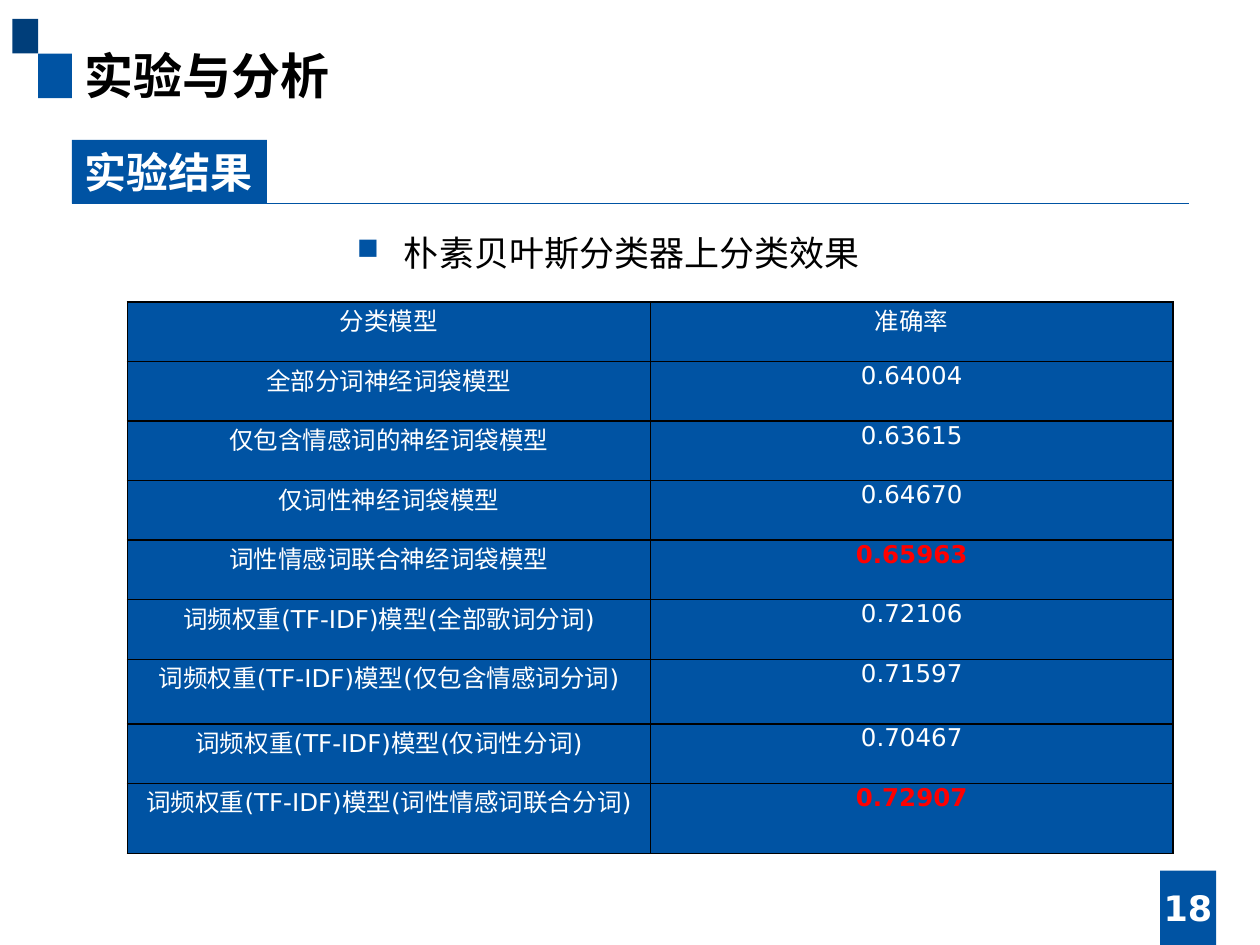
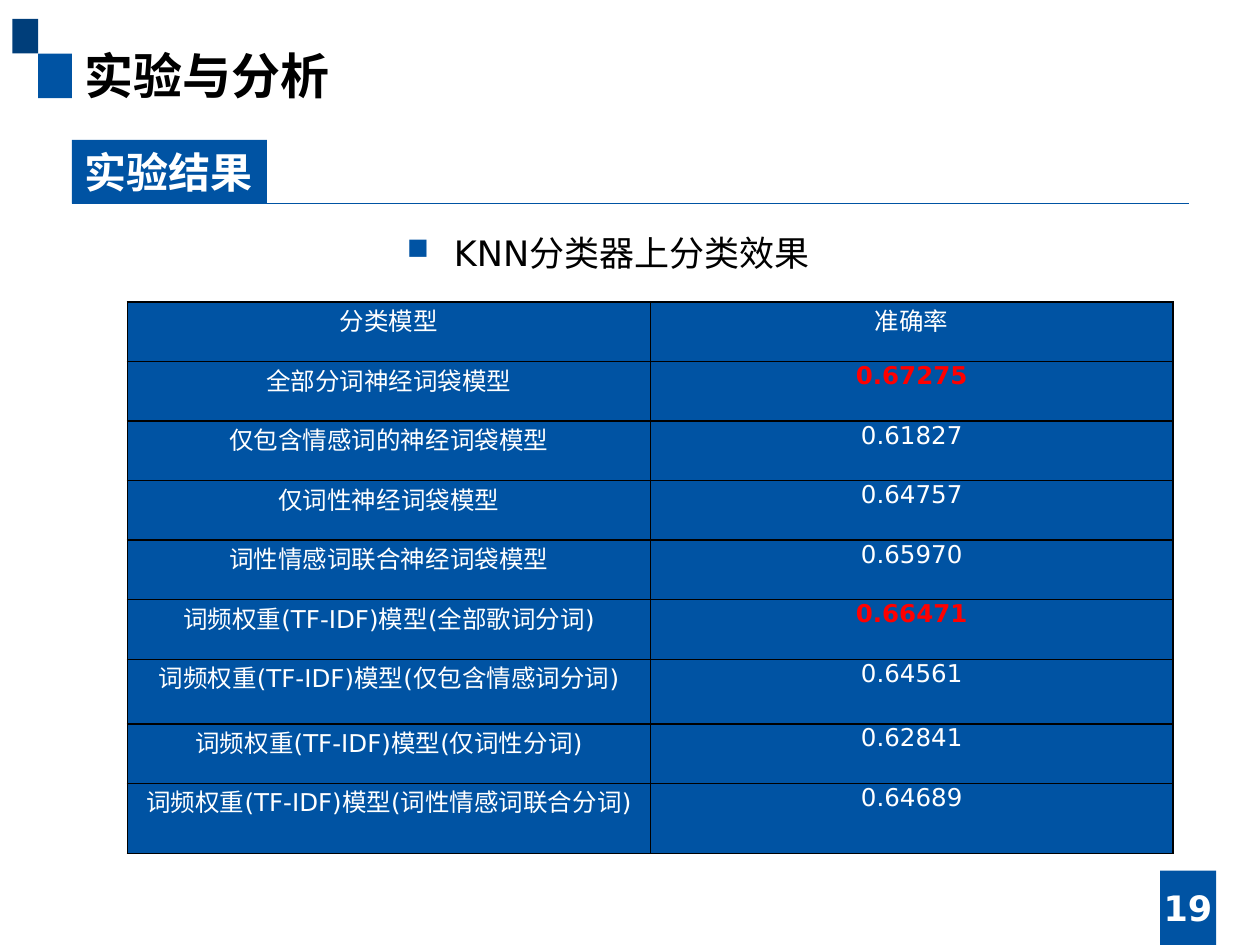
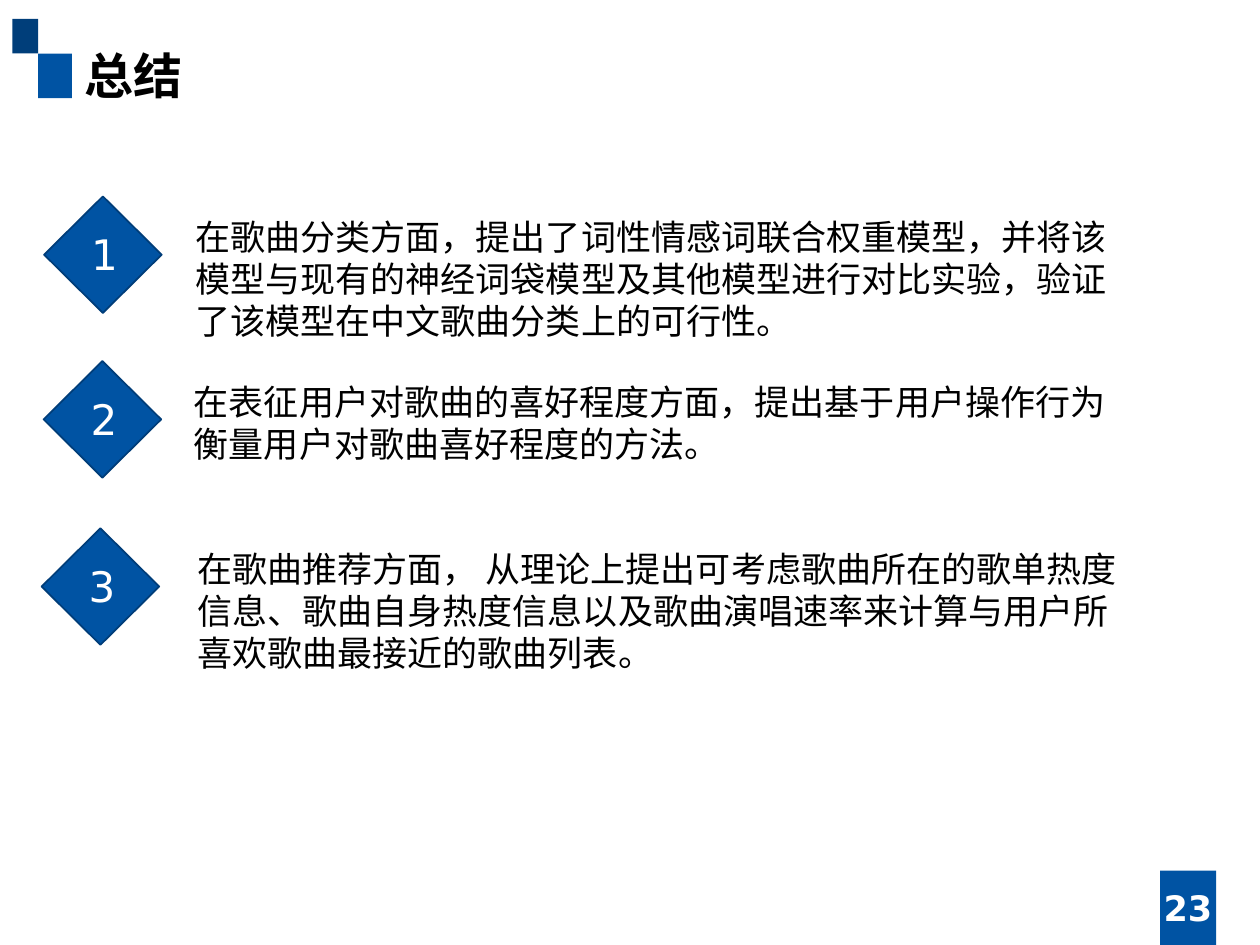
from lxml.etree import SubElement
from pptx import Presentation
from pptx.dml.color import RGBColor
from pptx.enum.shapes import MSO_CONNECTOR, MSO_SHAPE
from pptx.enum.text import MSO_ANCHOR, MSO_AUTO_SIZE, PP_ALIGN
from pptx.oxml import parse_xml
from pptx.oxml.ns import nsdecls, qn
from pptx.util import Cm, Pt

BLUE = RGBColor(0x00, 0x53, 0xA3)
NAVY = RGBColor(0x00, 0x3E, 0x7A)
OUTLINE = RGBColor(0x00, 0x3D, 0x79)
WHITE = RGBColor(0xFF, 0xFF, 0xFF)
BLACK = RGBColor(0x00, 0x00, 0x00)
RED = RGBColor(0xFF, 0x00, 0x00)
LATIN = "DejaVu Sans"
CHINESE = "Noto Sans CJK SC"

TITLE = {"name": CHINESE, "size": Pt(28), "bold": True}
HEADING = {"name": LATIN, "size": Pt(24), "bold": True}
PAGE = {"name": LATIN, "size": Pt(20), "bold": True}
BODY = {"name": LATIN, "size": Pt(20)}
NUMERAL = {"name": LATIN, "size": Pt(24)}
CELL = {"name": LATIN, "size": Pt(14), "bold": False}
BEST_CELL = {**CELL, "bold": True}

MODELS = [
    "全部分词神经词袋模型",
    "仅包含情感词的神经词袋模型",
    "仅词性神经词袋模型",
    "词性情感词联合神经词袋模型",
    "词频权重(TF-IDF)模型(全部歌词分词)",
    "词频权重(TF-IDF)模型(仅包含情感词分词)",
    "词频权重(TF-IDF)模型(仅词性分词)",
    "词频权重(TF-IDF)模型(词性情感词联合分词)",
]
ROW_HEIGHTS = [1.2] * 6 + [1.3, 1.2, 1.42]
RESULTS = [
    ("朴素贝叶斯分类器上分类效果",
     ["0.64004", "0.63615", "0.64670", "0.65963",
      "0.72106", "0.71597", "0.70467", "0.72907"],
     {"0.65963", "0.72907"}),
    ("KNN分类器上分类效果",
     ["0.67275", "0.61827", "0.64757", "0.65970",
      "0.66471", "0.64561", "0.62841", "0.64689"],
     {"0.67275", "0.66471"}),
]
# Diamond left and top, text left, text
CONCLUSIONS = [
    (0.89, 3.96, 3.69,
     "在歌曲分类方面，提出了词性情感词联合权重模型，并将该模型与现有的神经词袋模型及其他模型进行对比实验，验证了该模型在中文歌曲分类上的可行性。"),
    (0.88, 7.28, 3.66,
     "在表征用户对歌曲的喜好程度方面，提出基于用户操作行为衡量用户对歌曲喜好程度的方法。"),
    (0.84, 10.65, 3.73,
     "在歌曲推荐方面， 从理论上提出可考虑歌曲所在的歌单热度信息、歌曲自身热度信息以及歌曲演唱速率来计算与用户所喜欢歌曲最接近的歌曲列表。"),
]


def write(frame, text, style, color, align=PP_ALIGN.LEFT):
    paragraph = frame.paragraphs[0]
    paragraph.alignment = align
    run = paragraph.add_run()
    run.text = text
    for attribute, value in style.items():
        setattr(run.font, attribute, value)
    run.font.color.rgb = color
    SubElement(run.font._element, qn("a:ea"), typeface=CHINESE)
    return paragraph


def add_block(shapes, kind, box, fill=None):
    """Add a preset shape, or a wrapping text box when kind is None."""
    box = [Cm(length) for length in box]
    if kind is None:
        block = shapes.add_textbox(*box)
        block.text_frame.word_wrap = True
        block.text_frame.auto_size = MSO_AUTO_SIZE.SHAPE_TO_FIT_TEXT
        return block
    block = shapes.add_shape(kind, *box)
    block.shadow.inherit = False
    block.fill.solid()
    block.fill.fore_color.rgb = fill
    block.line.fill.background()
    return block


prs = Presentation()
prs.slide_width, prs.slide_height = Cm(25.4), Cm(19.05)

# Title, corner squares and page number of every slide
slides = []
for title_text, page in [("实验与分析", "18"), ("实验与分析", "19"), ("总结", "23")]:
    slide = prs.slides.add_slide(prs.slide_layouts[5])
    slides.append(slide)
    for box, fill in [((0.77, 1.08, 0.68, 0.9), BLUE),
                      ((0.25, 0.38, 0.52, 0.7), NAVY),
                      ((23.39, 17.55, 1.13, 1.5), BLUE)]:
        add_block(slide.shapes, MSO_SHAPE.RECTANGLE, box, fill)

    title = slide.shapes.title
    title.left, title.top, title.width, title.height = (
        Cm(1.45), Cm(0.79), Cm(11.25), Cm(1.45))
    title.text_frame.vertical_anchor = MSO_ANCHOR.TOP
    title.text_frame.auto_size = MSO_AUTO_SIZE.SHAPE_TO_FIT_TEXT
    write(title.text_frame, title_text, TITLE, BLACK)

    page_number = add_block(slide.shapes, None, (22.5, 17.79, 2.9, 1.02))
    page_number.text_frame.auto_size = MSO_AUTO_SIZE.NONE
    page_number.text_frame.vertical_anchor = MSO_ANCHOR.MIDDLE
    write(page_number.text_frame, page, PAGE, WHITE, PP_ALIGN.CENTER)

# Accuracy tables
for slide, (classifier, accuracies, best) in zip(slides, RESULTS):
    section = slide.shapes.add_group_shape().shapes
    heading = add_block(section, MSO_SHAPE.RECTANGLE, (1.45, 2.82, 3.93, 1.28), BLUE)
    heading.text_frame.word_wrap = False
    heading.text_frame.auto_size = MSO_AUTO_SIZE.SHAPE_TO_FIT_TEXT
    heading.text_frame.vertical_anchor = MSO_ANCHOR.TOP
    write(heading.text_frame, "实验结果", HEADING, WHITE)
    rule = section.add_connector(
        MSO_CONNECTOR.STRAIGHT, Cm(1.45), Cm(4.1), Cm(23.97), Cm(4.1))
    rule.line.color.rgb = BLUE
    rule.line.width = Pt(0.5)
    SubElement(rule._element.spPr, qn("a:effectLst"))

    rows = [("分类模型", "准确率"), *zip(MODELS, accuracies)]
    table = slide.shapes.add_table(
        len(rows), 2, Cm(2.57), Cm(6.09), Cm(21.08), Cm(sum(ROW_HEIGHTS))).table
    table.horz_banding = table.first_row = False
    for row, height, texts in zip(table.rows, ROW_HEIGHTS, rows):
        row.height = Cm(height)
        for cell, text in zip(row.cells, texts):
            cell.margin_left = cell.margin_right = Cm(0.18)
            cell.margin_top = cell.margin_bottom = 0
            is_best = text in best
            write(cell.text_frame, text, BEST_CELL if is_best else CELL,
                  RED if is_best else WHITE, PP_ALIGN.CENTER)
            cell_format = cell._tc.get_or_add_tcPr()
            for side in ("lnL", "lnR", "lnT", "lnB"):
                cell_format.append(parse_xml(
                    f'<a:{side} {nsdecls("a")} w="{Pt(1)}"><a:solidFill>'
                    f'<a:srgbClr val="{BLACK}"/></a:solidFill></a:{side}>'))
            cell.fill.solid()
            cell.fill.fore_color.rgb = BLUE

    caption = add_block(slide.shapes, None, (1.42, 4.55, 21.69, 1.96))
    paragraph = write(caption.text_frame, classifier, BODY, BLACK, PP_ALIGN.CENTER)
    bullet_format = paragraph._p.get_or_add_pPr()
    bullet_format.set("marL", str(Cm(0.95)))
    bullet_format.set("indent", str(-Cm(0.95)))
    bullet_color = SubElement(bullet_format, qn("a:buClr"))
    SubElement(bullet_color, qn("a:srgbClr"), val=str(BLUE))
    SubElement(bullet_format, qn("a:buSzPct"), val="85000")
    SubElement(bullet_format, qn("a:buChar"), char="■")

# Conclusions
for number, (left, top, text_left, text) in enumerate(CONCLUSIONS, start=1):
    shapes = slides[-1].shapes
    diamond = add_block(shapes, MSO_SHAPE.DIAMOND, (left, top, 2.37, 2.35), BLUE)
    diamond.line.color.rgb = OUTLINE
    diamond.line.width = Pt(1)
    numeral = add_block(shapes, None, (left + 0.7, top + 0.52, 1.22, 1.27))
    write(numeral.text_frame, str(number), NUMERAL, WHITE)
    conclusion = add_block(shapes, None, (text_left, top + 0.26, 19.3, 2.82))
    write(conclusion.text_frame, text, BODY, BLACK)

prs.save("out.pptx")
